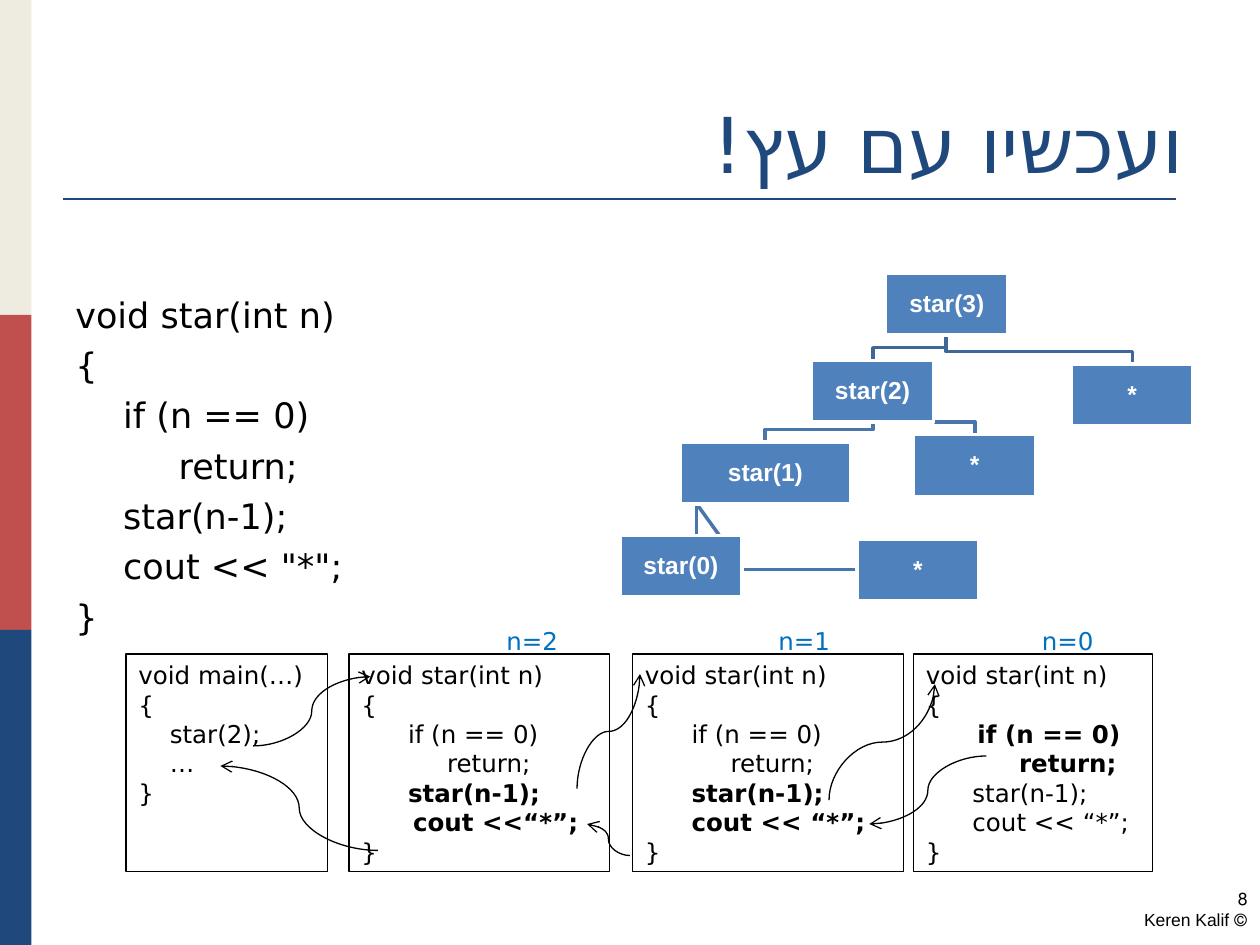
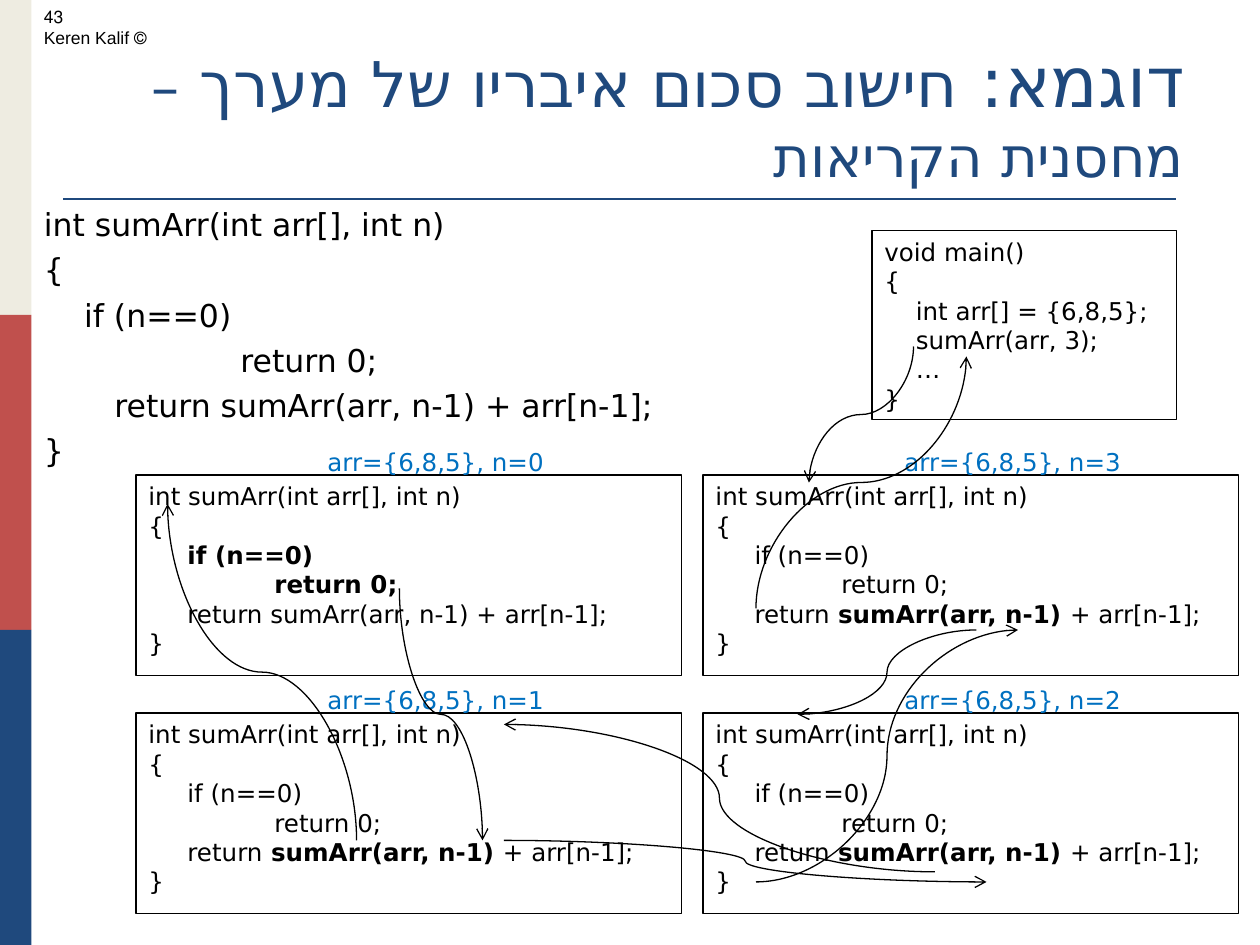
from pptx import Presentation
from pptx.dml.color import RGBColor
from pptx.enum.shapes import MSO_CONNECTOR as Connector, MSO_SHAPE as Preset
from pptx.enum.text import MSO_ANCHOR as Anchor, MSO_AUTO_SIZE as AutoSize, PP_ALIGN as Align
from pptx.oxml.ns import qn
from pptx.util import Inches, Pt
from lxml.etree import SubElement

COLORS = {
    "cream": "EEECE1", "red": "C0504D", "navy": "1F497D", "black": "000000",
    "label": "0070C0", "node": "4F81BD", "white": "FFFFFF",
    "upper_link": "3F6797", "lower_link": "4875AC",
}
CODE_FONT, TITLE_FONT, PLAIN_FONT = "DejaVu Sans", "Times New Roman", "Arial"
TITLE_BOX = (0.5, 0.3, 9, 1.25)
BAND_HEIGHT = 2.5
NODE_SIZE = (0.97, 0.49)


def color(name):
    return RGBColor.from_string(COLORS[name])


def set_values(target, values):
    for name, value in values.items():
        setattr(target, name, value)


def set_line(shape, name, width):
    shape.line.color.rgb = color(name)
    shape.line.width = Pt(width)


def add_run(paragraph, text, size, font, color_name, bold=False):
    run = paragraph.add_run()
    run.text = text
    set_values(run.font, {"size": Pt(size), "name": font, "bold": bold})
    run.font.color.rgb = color(color_name)
    return run


def next_paragraph(frame, number):
    return frame.paragraphs[0] if number == 0 else frame.add_paragraph()


def set_right_to_left(paragraph, alignment):
    paragraph.alignment = alignment
    paragraph._p.get_or_add_pPr().set("rtl", "1")


def add_rectangle(slide, box, fill=None):
    shape = slide.shapes.add_shape(Preset.RECTANGLE, *map(Inches, box))
    shape.shadow.inherit = False
    if fill:
        shape.fill.solid()
        shape.fill.fore_color.rgb = color(fill)
    else:
        shape.fill.background()
    shape.line.fill.background()
    return shape


def add_text_box(slide, box):
    frame = slide.shapes.add_textbox(*map(Inches, box)).text_frame
    frame.word_wrap = True
    return frame


def write_code(frame, lines, size=14, space=0):
    for number, (indent, text) in enumerate(lines):
        paragraph = next_paragraph(frame, number)
        set_values(paragraph, {"alignment": Align.LEFT, "space_before": Pt(space)})
        properties = paragraph._p.get_or_add_pPr()
        properties.set("marL", str(Inches(indent)))
        properties.set("indent", "0")
        for position, part in enumerate(text.split("|")):
            if part:
                add_run(paragraph, part, size, CODE_FONT, "black", position % 2 == 1)


def add_code_box(slide, box, lines):
    shape = add_rectangle(slide, box)
    set_line(shape, "black", 0.75)
    set_values(shape.text_frame, {"vertical_anchor": Anchor.TOP, "word_wrap": True})
    write_code(shape.text_frame, lines)


def add_label(slide, left, top, width, text):
    frame = add_text_box(slide, (left, top, width, 0.34))
    add_run(frame.paragraphs[0], text, 14, CODE_FONT, "label")


def finish_connector(connector, name, width):
    set_line(connector, name, width)
    SubElement(connector._element.spPr, qn("a:effectLst"))


def add_call_arrow(slide, start, end, vertical=False):
    (x1, y1), (x2, y2) = start, end
    turn = 0
    if vertical:
        turn = 1 if (x2 - x1) * (y2 - y1) < 0 else -1
        center_x, center_y = (x1 + x2) / 2, (y1 + y2) / 2
        offset_x, offset_y = turn * (y1 - center_y), turn * (center_x - x1)
        x1, y1 = center_x + offset_x, center_y + offset_y
        x2, y2 = center_x - offset_x, center_y - offset_y
    connector = slide.shapes.add_connector(Connector.CURVE, *map(Inches, (x1, y1, x2, y2)))
    finish_connector(connector, "black", 0.75)
    if turn:
        connector._element.spPr.find(qn("a:xfrm")).set("rot", str(turn * 90 % 360 * 60000))
    SubElement(connector.line._get_or_add_ln(), qn("a:tailEnd"), type="arrow")


def add_base_slide(presentation, title_runs):
    slide = presentation.slides.add_slide(presentation.slide_layouts[5])
    for number, name in enumerate(("cream", "red", "navy")):
        add_rectangle(slide, (0, number * BAND_HEIGHT, 0.25, BAND_HEIGHT), name)
    rule = slide.shapes.add_connector(Connector.STRAIGHT, *map(Inches, (0.5, 1.58, 9.33, 1.58)))
    finish_connector(rule, "navy", 1.5)

    title = slide.shapes.title
    set_values(title, dict(zip(("left", "top", "width", "height"), map(Inches, TITLE_BOX))))
    set_values(title.text_frame, {
        "vertical_anchor": Anchor.BOTTOM, "word_wrap": True, "auto_size": AutoSize.NONE})
    paragraph = title.text_frame.paragraphs[0]
    set_right_to_left(paragraph, Align.RIGHT)
    for text, size in title_runs:
        run = add_run(paragraph, text, size, TITLE_FONT, "navy")
        SubElement(run._r.get_or_add_rPr(), qn("a:cs"), typeface=CODE_FONT)
    return slide


def add_footer(slide, left, top, number, alignment):
    frame = add_text_box(slide, (left, top, 2.33, 0.5))
    for position, text in enumerate((number, "© Keren Kalif")):
        paragraph = next_paragraph(frame, position)
        set_right_to_left(paragraph, alignment)
        add_run(paragraph, text, 10, PLAIN_FONT, "black")


def add_call_tree(slide, left, top):
    links = [
        ("upper_link", [(2.59, 0.49), (2.59, 0.62), (4.07, 0.62), (4.07, 0.72)]),
        ("lower_link", [(2.01, 1.18), (2.82, 1.18), (2.82, 1.28)]),
        ("lower_link", [(0.61, 1.83), (0.61, 2.35), (1.88, 2.35)]),
        ("lower_link", [(0.61, 1.83), (0.97, 2.33)]),
        ("lower_link", [(2.01, 1.18), (2.01, 1.24), (1.15, 1.24), (1.15, 1.34)]),
        ("upper_link", [(2.59, 0.49), (2.59, 0.59), (2.01, 0.59), (2.01, 0.69)]),
    ]
    for name, points in links:
        corners = [(Inches(left + x), Inches(top + y)) for x, y in points]
        builder = slide.shapes.build_freeform(*corners[0])
        builder.add_line_segments(corners[1:], close=False)
        link = builder.convert_to_shape()
        link.shadow.inherit = False
        link.fill.background()
        set_line(link, name, 2)

    width, height = NODE_SIZE
    nodes = [
        (2.11, 0, width, "star(3)"), (1.52, 0.69, width, "star(2)"),
        (0.48, 1.34, 1.35, "star(1)"), (0, 2.08, width, "star(0)"),
        (1.88, 2.11, width, "*"), (2.33, 1.28, width, "*"), (3.58, 0.72, width, "*"),
    ]
    for x, y, node_width, text in nodes:
        node = add_rectangle(slide, (left + x, top + y, node_width, height), "node")
        set_line(node, "white", 2)
        margins = {f"margin_{side}": Inches(0.01) for side in ("left", "top", "right", "bottom")}
        set_values(node.text_frame, {
            "vertical_anchor": Anchor.MIDDLE, "word_wrap": True, **margins})
        paragraph = node.text_frame.paragraphs[0]
        set_values(paragraph, {"alignment": Align.CENTER, "line_spacing": 0.9})
        add_run(paragraph, text, 14, PLAIN_FONT, "white", True)


def star_code(condition, result, call, output):
    return [(0, "void star(int n)"), (0, "{"), condition, result, call, output, (0, "}")]


def add_star_frames(slide, top):
    condition, result = (0.37, "if (n == 0)"), (0.68, "return;")
    call = (0.37, "|star(n-1);|")
    main = [(0, "void main(…)"), (0, "{"), (0.25, "star(2);"), (0.25, "…"), (0, "}")]
    frames = [
        (1, 1.6, main),
        (2.77, 2.07, star_code(condition, result, call, (0.41, "|cout <<“*”;|"))),
        (5.02, 2.15, star_code(condition, result, call, (0.37, "|cout << “*”;|"))),
        (7.25, 1.9, star_code((0.41, "|if (n == 0)|"), (0.74, "|return;|"),
                              (0.37, "star(n-1);"), (0.37, "cout << “*”;"))),
    ]
    for left, width, lines in frames:
        add_code_box(slide, (left, top, width, 1.73), lines)
    for number, left in enumerate((3.92, 6.08, 8.17)):
        add_label(slide, left, top - 0.27, 0.67, f"n={2 - number}")
    arrows = [
        ((2.01, 0.73), (2.94, 0.18), False), ((6.58, 1.16), (7.42, 0.24), True),
        ((7.83, 0.81), (6.9, 1.35), False), ((5, 1.6), (4.66, 1.35), False),
        ((3, 1.56), (1.75, 0.89), False), ((4.58, 1.07), (5.08, 0.16), True),
    ]
    for (x1, y1), (x2, y2), vertical in arrows:
        add_call_arrow(slide, (x1, top + y1), (x2, top + y2), vertical)


def build_star_slide(presentation):
    slide = add_base_slide(presentation, [("ועכשיו עם עץ!", 44)])
    code = star_code((0.38, "if (n == 0)"), (0.82, "return;"),
                     (0.38, "star(n-1);"), (0.38, 'cout << "*";'))
    write_code(add_text_box(slide, (0.5, 2.28, 9, 4.42)), code, 20, 4.7)
    add_star_frames(slide, 5.19)
    add_call_tree(slide, 4.92, 2.17)
    add_footer(slide, 7.67, 7, "8", Align.RIGHT)


def sum_code(condition, result, call):
    return [(0, "int sumArr(int arr[], int n)"), (0, "{"), condition, result, call, (0, "}")]


def add_sum_frames(slide, top):
    calling = sum_code((0.31, "if (n==0)"), (1, "return 0;"),
                       (0.31, "return| sumArr(arr, n-1) |+ arr[n-1];"))
    stopping = sum_code((0.31, "|if (n==0)|"), (1, "|return 0;|"),
                        (0.31, "return sumArr(arr, n-1) + arr[n-1];"))
    columns = [(1.08, 4.33, 2.5, (0, 1)), (5.58, 4.25, 7.08, (3, 2))]
    for left, width, label_left, counts in columns:
        for row, count in enumerate(counts):
            row_top = top + row * 1.89
            lines = calling if count else stopping
            add_code_box(slide, (left, row_top, width, 1.59), lines)
            add_label(slide, label_left, row_top - 0.27, 2, f"arr={{6,8,5}}, n={count}")


def build_sum_slide(presentation):
    slide = add_base_slide(presentation, [
        ("דוגמא: ", 40), ("חישוב סכום איבריו של מערך ", 36), ("– מחסנית הקריאות", 32)])
    code = sum_code((0.32, "if (n==0)"), (1.56, "return 0;"),
                    (0.56, "return sumArr(arr, n-1) + arr[n-1];"))
    write_code(add_text_box(slide, (0.25, 1.58, 7.08, 3.83)), code, 18, 4.2)
    add_code_box(slide, (6.92, 1.83, 2.42, 1.5), [
        (0, "void main()"), (0, "{"), (0.25, "int arr[] = {6,8,5};"),
        (0.25, "sumArr(arr, 3);"), (0.25, "…"), (0, "}")])
    add_sum_frames(slide, 3.77)
    arrows = [
        ((7.25, 2.75), (6.42, 3.83), True), ((7.75, 5), (6.33, 5.67), False),
        ((7.42, 6.92), (4, 5.75), False), ((2.83, 6.67), (1.33, 4), True),
        ((3.17, 4.67), (3.83, 6.67), True), ((6, 7), (8.08, 5), False),
        ((6, 4.83), (7.67, 2.83), True), ((4, 6.67), (7.83, 7), False),
    ]
    for start, end, vertical in arrows:
        add_call_arrow(slide, start, end, vertical)
    add_footer(slide, 0.25, 0, "43", Align.LEFT)


def main():
    presentation = Presentation()
    set_values(presentation, {"slide_width": Inches(10), "slide_height": Inches(7.5)})
    build_star_slide(presentation)
    build_sum_slide(presentation)
    presentation.save("out.pptx")


if __name__ == "__main__":
    main()
